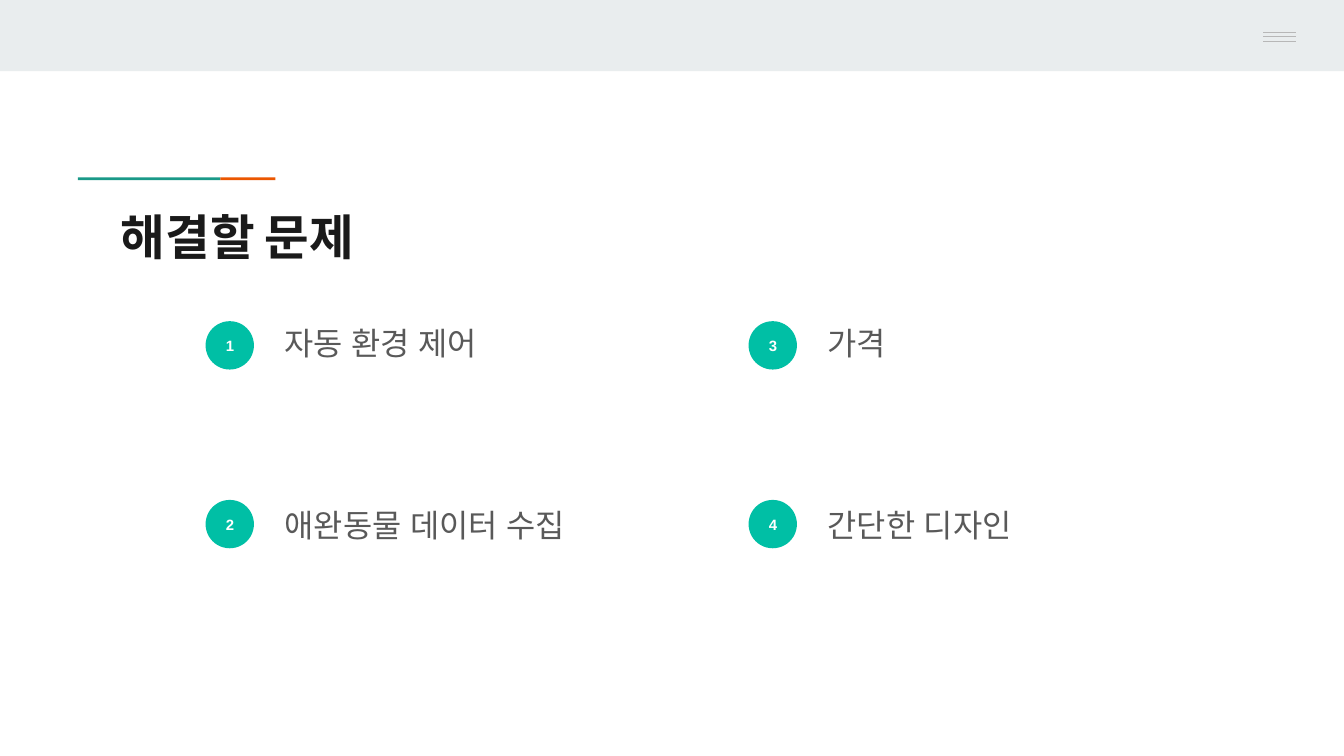
import pptx
import pptx.util
import pptx.dml.color
import pptx.enum.shapes
import pptx.enum.text
import pptx.oxml
import pptx.oxml.ns
import lxml.etree

Inches = pptx.util.Inches
Pt = pptx.util.Pt
KIND = pptx.enum.shapes.MSO_SHAPE


def paint(form, tone):
    form.rgb = pptx.dml.color.RGBColor.from_string(tone)


def write(frame, text, face, size, tone, bold=False):
    frame.word_wrap = True
    frame.margin_left = frame.margin_right = Inches(0.1)
    frame.margin_top = frame.margin_bottom = Inches(0.1)
    para = frame.paragraphs[0]
    para.text = text
    font = para.font
    font.size = Pt(size)
    font.bold = bold
    paint(font.color, tone)
    font.name = face
    props = para._p.pPr.find(pptx.oxml.ns.qn("a:defRPr"))
    lxml.etree.SubElement(props, pptx.oxml.ns.qn("a:ea"), typeface=face)
    return para


deck = pptx.Presentation()
deck.slide_width = Inches(10)
deck.slide_height = Inches(10 * 9 / 16)
slide = deck.slides.add_slide(deck.slide_layouts[6])
shapes = slide.shapes

bars = [
    (0, 0, 10, 0.53, "E9EDEE"),
    (0.58, 1.32, 1.06, 0.02, "1A9988"),
    (1.64, 1.32, 0.41, 0.02, "EB5600"),
]
for left, top, width, height, tone in bars:
    bar = shapes.add_shape(KIND.RECTANGLE, Inches(left), Inches(top), Inches(width), Inches(height))
    bar.shadow.inherit = False
    bar.fill.solid()
    paint(bar.fill.fore_color, tone)
    bar.line.fill.background()

for top in (0.24, 0.27, 0.31):
    rule = shapes.add_connector(
        pptx.enum.shapes.MSO_CONNECTOR.STRAIGHT,
        Inches(9.4), Inches(top), Inches(9.64), Inches(top))
    rule.line.width = Pt(0.75)
    paint(rule.line.color, "B7B7B7")
    lxml.etree.SubElement(rule._element.spPr, pptx.oxml.ns.qn("a:effectLst"))

title = shapes.add_textbox(Inches(0.8), Inches(1.44), Inches(8.41), Inches(0.59))
write(title.text_frame, "해결할 문제", "Manrope", 26, "1A1A1A", True)

items = ["자동 환경 제어", "애완동물 데이터 수집", "가격", "간단한 디자인"]
rows = [(2.39, 2.27), (3.72, 3.62)]
for index, item in enumerate(items):
    left = 1.53 + 4.04 * (index // 2)
    top, head = rows[index % 2]
    badge = shapes.add_shape(KIND.OVAL, Inches(left), Inches(top), Inches(0.36), Inches(0.36))
    badge.shadow.inherit = False
    badge.fill.solid()
    paint(badge.fill.fore_color, "00BFA5")
    badge.line.fill.background()
    badge.text_frame.vertical_anchor = pptx.enum.text.MSO_ANCHOR.MIDDLE
    para = write(badge.text_frame, str(index + 1), "Arial", 8, "FFFFFF", True)
    para.alignment = pptx.enum.text.PP_ALIGN.CENTER

    label = shapes.add_textbox(Inches(left + 0.49), Inches(head), Inches(3.1), Inches(1.15))
    para = write(label.text_frame, item, "Lato", 17, "595959")
    para.line_spacing = 1.15

deck.save("out.pptx")
